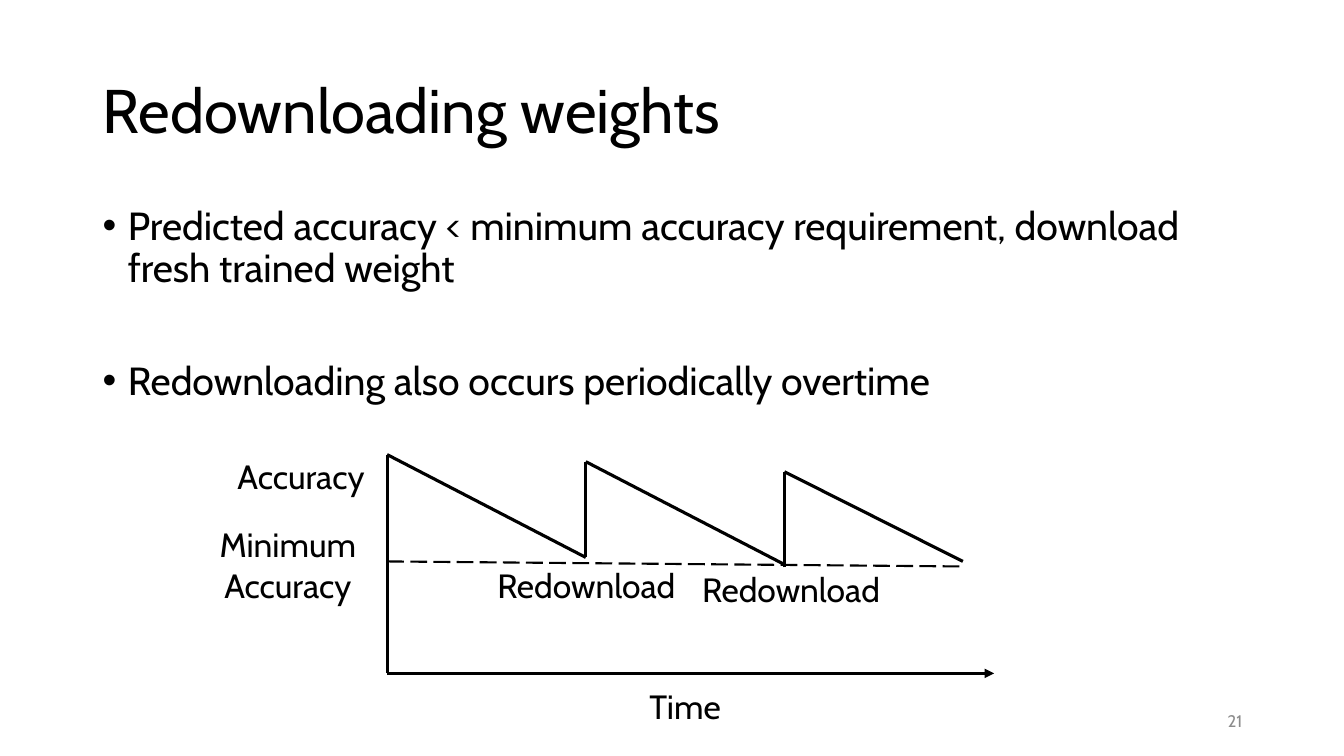
from pptx import Presentation, util as u
from pptx.dml.color import RGBColor
from pptx.enum import dml, shapes, text
from pptx.oxml.ns import qn
from lxml import etree

PX = 9144  # 100 px to the inch
BLACK, GREY = "000000", "8C8C8C"

deck = Presentation()
deck.slide_width, deck.slide_height = 1333 * PX, 750 * PX
slide = deck.slides.add_slide(deck.slide_layouts[6])


def add_text(paragraphs, left, top, width, height, size=24, color=BLACK,
             align=text.PP_ALIGN.CENTER, anchor=text.MSO_ANCHOR.TOP,
             spacing=None, gaps=(0,), bullet=None):
    """Add one text box; gaps holds the points above each paragraph."""
    box = slide.shapes.add_textbox(left * PX, top * PX, width * PX, height * PX)
    frame = box.text_frame
    frame.word_wrap = True
    frame.vertical_anchor = anchor
    frame.text = "\n".join(paragraphs)
    for paragraph, gap in zip(frame.paragraphs, gaps):
        paragraph.alignment = align
        paragraph.line_spacing = spacing
        paragraph.space_before = u.Pt(gap)
        font = paragraph.runs[0].font
        font.name, font.size = "Cabin", u.Pt(size)
        font.color.rgb = RGBColor.from_string(color)
        if bullet:
            properties = paragraph._p.get_or_add_pPr()
            properties.set("marL", str(25 * PX))
            properties.set("indent", str(-25 * PX))
            etree.SubElement(properties, qn("a:buFont"), typeface="Arial")
            etree.SubElement(properties, qn("a:buChar"), char=bullet)


def add_line(start, end, width=2.25, dash=None, arrow=False):
    line = slide.shapes.add_connector(
        shapes.MSO_CONNECTOR.STRAIGHT, *(v * PX for v in (*start, *end)))
    line.line.color.rgb = RGBColor.from_string(BLACK)
    line.line.width = u.Pt(width)
    if dash:
        line.line.dash_style = dash
    if arrow:
        etree.SubElement(line.line._get_or_add_ln(), qn("a:tailEnd"), type="triangle")
    etree.SubElement(line._element.spPr, qn("a:effectLst"))


add_text(["Redownloading weights"], 92, 40, 1150, 145, size=44, spacing=0.9,
         align=text.PP_ALIGN.LEFT, anchor=text.MSO_ANCHOR.MIDDLE)
add_text(["Predicted accuracy < minimum accuracy requirement, download fresh trained weight",
          "Redownloading also occurs periodically overtime"],
         92, 200, 1150, 476, size=28, spacing=0.9, gaps=(10, 50),
         align=text.PP_ALIGN.LEFT, bullet="•")
add_text(["21"], 942, 695, 300, 40, size=12, color=GREY,
         align=text.PP_ALIGN.RIGHT, anchor=text.MSO_ANCHOR.MIDDLE)

# Axes
origin, accuracy_top = (384, 668), (384, 451)
add_line(origin, (986, 668), arrow=True)
add_line(accuracy_top, origin)

# Accuracy decays, then jumps back up at each redownload
decays = [(accuracy_top, (581, 553)), ((581, 458), (778, 560)), ((778, 468), (955, 557))]
jumps = [((581, 553), (581, 458)), ((778, 563), (778, 468))]
for start, end in decays + jumps:
    add_line(start, end)
add_line((384, 557), (955, 562), width=1.5, dash=dml.MSO_LINE.LONG_DASH)

for label, left, top, height in [
    ("Accuracy", 164, 447, 50),
    ("Minimum Accuracy", 151, 515, 91),
    ("Redownload", 447, 556, 50),
    ("Redownload", 650, 559, 50),
    ("Time", 545, 676, 50),
]:
    add_text([label], left, top, 269, height)

deck.save("out.pptx")
